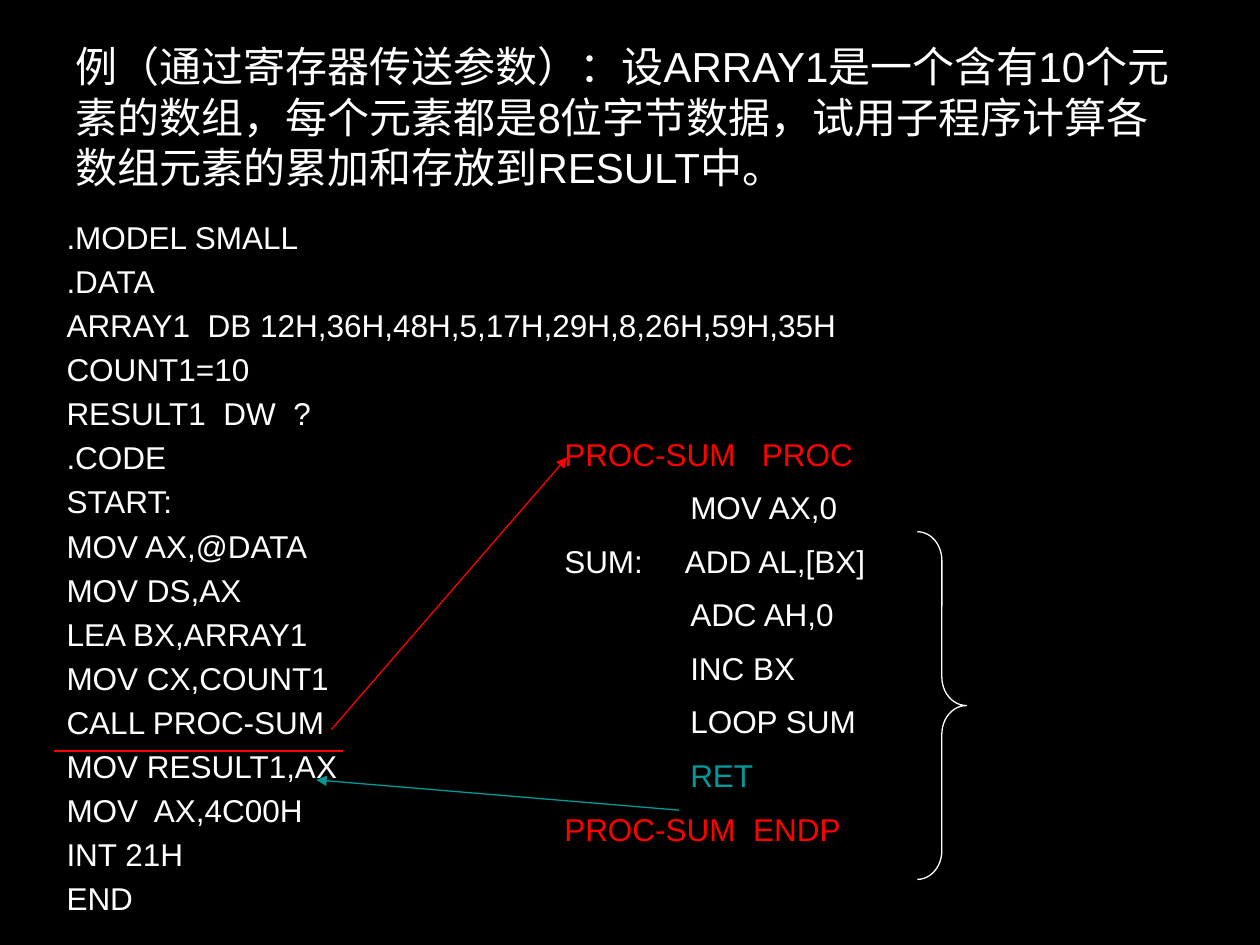
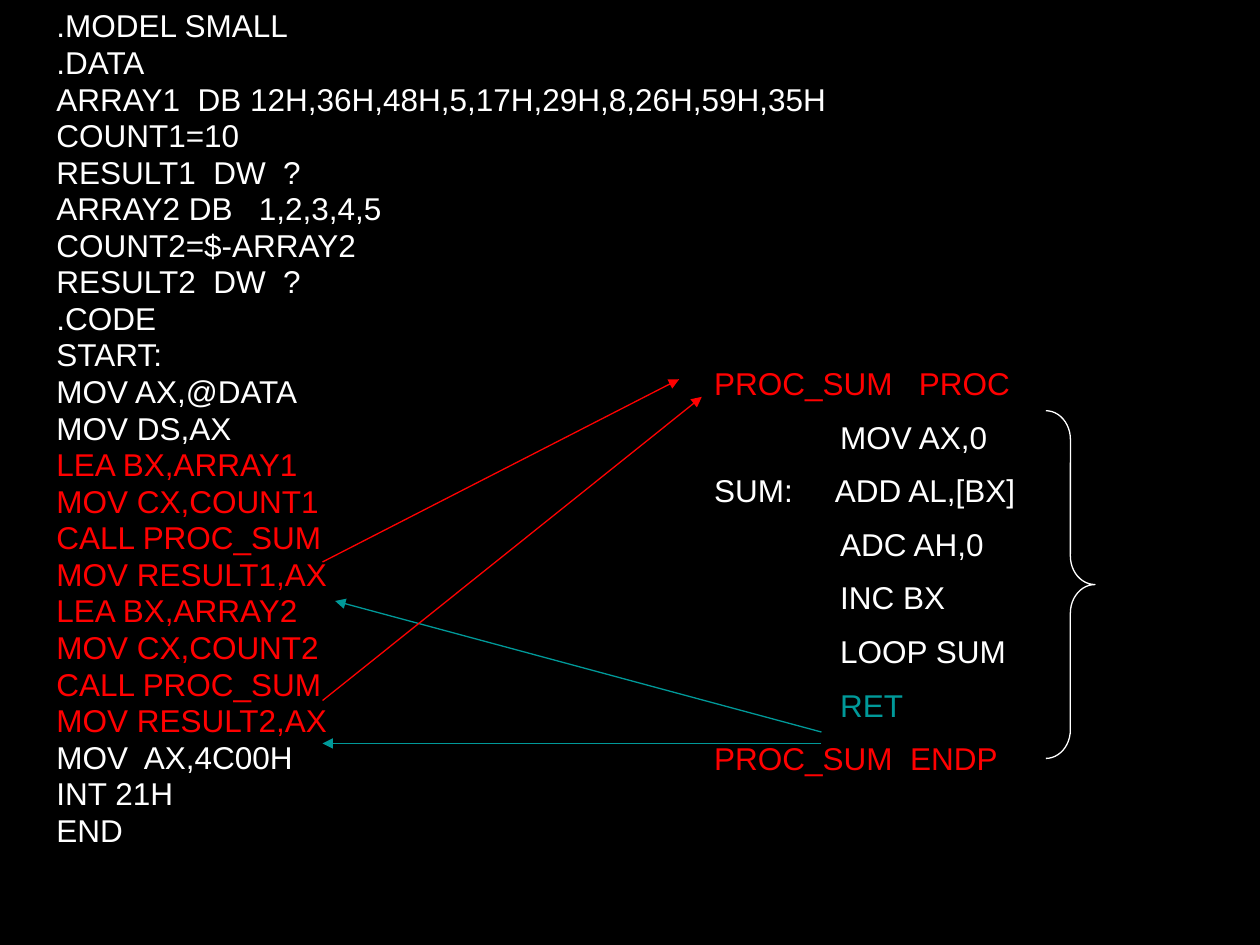
from lxml.etree import SubElement
from pptx import Presentation
from pptx.dml.color import RGBColor
from pptx.enum.shapes import MSO_CONNECTOR as Connector, MSO_SHAPE as Shape
from pptx.enum.text import MSO_ANCHOR as Anchor, MSO_AUTO_SIZE as AutoSize, PP_ALIGN as Align
from pptx.oxml.ns import qn
from pptx.util import Inches, Pt

WHITE, BLACK, RED, TEAL = "FFFFFF", "000000", "FF0000", "009999"
TITLE_ONLY, BLANK = 5, 6

DATA_LINES = [
    ".MODEL SMALL",
    ".DATA",
    "ARRAY1  DB 12H,36H,48H,5,17H,29H,8,26H,59H,35H",
    "COUNT1=10",
    "RESULT1  DW  ?",
]
SECOND_ARRAY_LINES = ["ARRAY2 DB   1,2,3,4,5", "COUNT2=$-ARRAY2", "RESULT2  DW  ?"]
START_LINES = [".CODE", "START:", "MOV AX,@DATA", "MOV DS,AX"]
EXIT_LINES = ["MOV  AX,4C00H", "INT 21H", "END"]


def rgb(value):
    return RGBColor.from_string(value)


def call_lines(number, procedure):
    return [f"LEA BX,ARRAY{number}", f"MOV CX,COUNT{number}",
            f"CALL {procedure}", f"MOV RESULT{number},AX"]


def colored(lines, color=WHITE):
    return [(line, color) for line in lines]


def write(paragraph, text, size=18, color=WHITE, gap=0, spacing=None, tab=None):
    paragraph.alignment = Align.LEFT
    paragraph.space_before = Pt(size * gap)
    if spacing:
        paragraph.line_spacing = spacing
    run = paragraph.add_run()
    run.text = text
    run.font.name = "Arial"
    run.font.size = Pt(size)
    run.font.color.rgb = rgb(color)
    if tab:
        tabs = SubElement(paragraph._p.get_or_add_pPr(), qn("a:tabLst"))
        SubElement(tabs, qn("a:tab"), pos=str(Inches(tab)), algn="l")


class Deck:
    line_width = Pt(0.75)

    def __init__(self):
        self.presentation = Presentation()
        self.presentation.slide_width = Inches(10)
        self.presentation.slide_height = Inches(7.5)
        self.slide = None

    def add_slide(self, layout):
        self.slide = self.presentation.slides.add_slide(self.presentation.slide_layouts[layout])
        fill = self.slide.background.fill
        fill.solid()
        fill.fore_color.rgb = rgb(BLACK)

    def title(self, text, left, top, width, height):
        title = self.slide.shapes.title
        title.left, title.top = Inches(left), Inches(top)
        title.width, title.height = Inches(width), Inches(height)
        frame = title.text_frame
        frame.word_wrap = True
        frame.auto_size = AutoSize.NONE
        frame.vertical_anchor = Anchor.MIDDLE
        write(frame.paragraphs[0], text, size=24)

    def code(self, lines, left, top, width, height, **style):
        box = self.slide.shapes.add_textbox(
            Inches(left), Inches(top), Inches(width), Inches(height))
        frame = box.text_frame
        frame.word_wrap = True
        for index, (text, color) in enumerate(lines):
            paragraph = frame.add_paragraph() if index else frame.paragraphs[0]
            write(paragraph, text, color=color, **style)

    def procedure(self, name, left, top, width):
        body = ["\tMOV AX,0", "SUM:     ADD AL,[BX]", "\tADC AH,0", "\tINC BX", " \tLOOP SUM"]
        lines = [(f"{name}   PROC", RED), *colored(body),
                 ("\tRET", TEAL), (f"{name}  ENDP", RED)]
        self.code(lines, left, top, width, 3.58, gap=0.5, tab=1)

    def brace(self, left, top):
        brace = self.slide.shapes.add_shape(
            Shape.RIGHT_BRACE, Inches(left), Inches(top), Inches(0.39), Inches(2.76))
        brace.adjustments[0] = 0.583
        brace.adjustments[1] = 0.5
        brace.shadow.inherit = False
        brace.fill.background()
        brace.line.color.rgb = rgb(WHITE)
        brace.line.width = self.line_width

    def line(self, start, end, color, arrow=True):
        line = self.slide.shapes.add_connector(
            Connector.STRAIGHT, *map(Inches, start), *map(Inches, end))
        line.line.color.rgb = rgb(color)
        line.line.width = self.line_width
        if arrow:
            SubElement(line.line._get_or_add_ln(), qn("a:tailEnd"), type="triangle")
        SubElement(line._element.spPr, qn("a:effectLst"))


def single_call_slide(deck):
    deck.add_slide(TITLE_ONLY)
    deck.title("例（通过寄存器传送参数）：设ARRAY1是一个含有10个元素的数组，每个元素都是8位字节数据，"
               "试用子程序计算各数组元素的累加和存放到RESULT中。", 0.5, 0.3, 9, 1.25)
    program = DATA_LINES + START_LINES + call_lines(1, "PROC-SUM") + EXIT_LINES
    deck.code(colored(program), 0.43, 1.68, 9.07, 5.71, gap=0.2)
    deck.procedure("PROC-SUM", 4.38, 3.4, 5.12)
    deck.brace(7.28, 4.22)
    deck.line((2.63, 5.79), (4.5, 3.63), RED)
    deck.line((0.43, 5.96), (2.72, 5.96), RED, arrow=False)
    deck.line((5.39, 6.43), (2.51, 6.19), TEAL)


def double_call_slide(deck):
    deck.add_slide(BLANK)
    calls = call_lines(1, "PROC_SUM") + call_lines(2, "PROC_SUM")
    program = (colored(DATA_LINES + SECOND_ARRAY_LINES + START_LINES)
               + colored(calls, RED) + colored(EXIT_LINES))
    deck.code(program, 0.35, 0.06, 9.07, 7.39, gap=0.2, spacing=0.8)
    deck.procedure("PROC_SUM", 5.57, 2.84, 4.35)
    deck.brace(8.3, 3.26)
    deck.line((2.56, 4.46), (5.39, 3.01), RED)
    deck.line((6.52, 5.81), (2.66, 4.77), TEAL)
    deck.line((2.56, 5.56), (5.57, 3.15), RED)
    deck.line((6.52, 5.9), (2.56, 5.9), TEAL)


def main():
    deck = Deck()
    single_call_slide(deck)
    double_call_slide(deck)
    deck.presentation.save("out.pptx")


if __name__ == "__main__":
    main()
